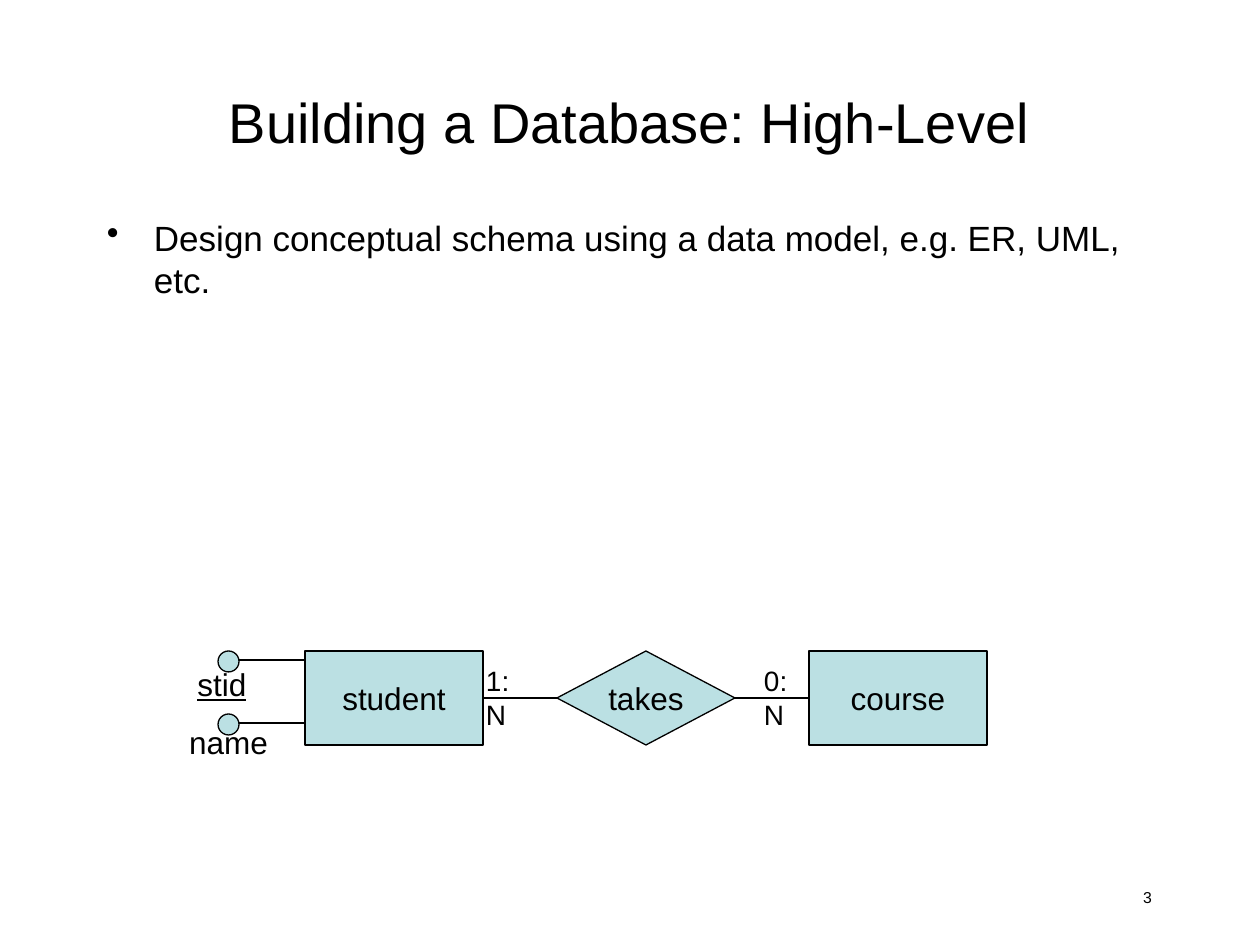
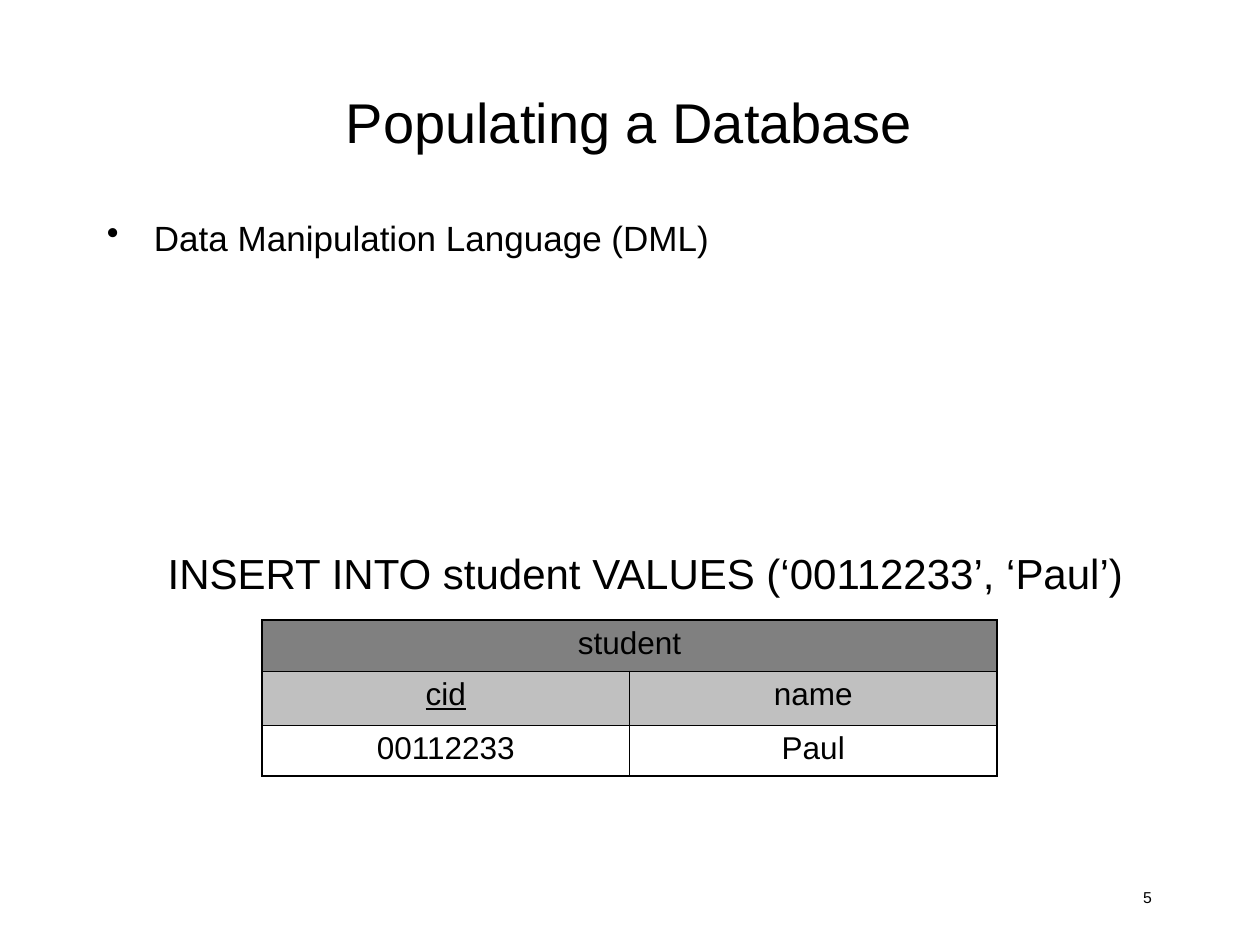
from dataclasses import dataclass

from lxml import etree
from pptx import Presentation, util as u
from pptx.dml.color import RGBColor
from pptx.enum import shapes, text
from pptx.oxml.ns import qn

# ---- Content ----
DESIGN = dict(
    title="Building a Database: High-Level",
    bullet="Design conceptual schema using a data model, e.g. ER, UML, etc.",
    number="3",
)
POPULATE = dict(
    title="Populating a Database",
    bullet="Data Manipulation Language (DML)",
    number="5",
)
CHAIN = [("student", "FLOWCHART_PROCESS"),
         ("takes", "FLOWCHART_DECISION"),
         ("course", "FLOWCHART_PROCESS")]
CARDINALITIES = [("1:N", 473), ("0:N", 751)]  # label, left edge
ATTRIBUTES = [  # name, underlined key, text insets
    ("stid", True, (0, 11, 13, 0)),
    ("name", False, (13, 6, 13, 6)),
]
INSERT = "INSERT INTO student VALUES (‘00112233’, ‘Paul’)"
TABLE_NAME, KEY = "student", "cid"
TABLE_ROWS = [(KEY, "name"), ("00112233", "Paul")]


# ---- Theme and scale ----
@dataclass(frozen=True)
class Theme:
    font: str = "Arial"
    ink: str = "000000"
    node: str = "BBE0E3"
    table_head: str = "808080"
    column_head: str = "C0C0C0"
    title: int = 32
    statement: int = 24
    body: int = 20
    label: int = 18
    cardinality: int = 16
    number: int = 9
    line: float = 0.75
    outer: float = 1.08
    inner: float = 0.45


T = Theme()
INSETS = (13, 6, 13, 6)
LEFT, CENTER, RIGHT = text.PP_ALIGN.LEFT, text.PP_ALIGN.CENTER, text.PP_ALIGN.RIGHT
TOP, MIDDLE = text.MSO_ANCHOR.TOP, text.MSO_ANCHOR.MIDDLE


def px(n):
    return u.Emu(round(n * 914400 / 126))


def rgb(value):
    return RGBColor.from_string(value)


# ---- Text ----
def put_text(tf, words, size=T.label, align=CENTER, anchor=MIDDLE, wrap=True,
             underline=False, bullet=False, insets=INSETS):
    tf.word_wrap = wrap
    tf.vertical_anchor = anchor
    tf.margin_left, tf.margin_top, tf.margin_right, tf.margin_bottom = map(px, insets)
    p = tf.paragraphs[0]
    p.alignment = align
    if bullet:
        pPr = p._p.get_or_add_pPr()
        pPr.set("marL", str(px(47)))
        pPr.set("indent", str(-px(47)))
        etree.SubElement(pPr, qn("a:buChar")).set("char", "•")
    r = p.add_run()
    r.text = words
    r.font.name, r.font.size = T.font, u.Pt(size)
    r.font.color.rgb = rgb(T.ink)
    r.font.underline = underline


def text_box(s, words, box, **fmt):
    sp = s.shapes.add_textbox(*map(px, box))
    put_text(sp.text_frame, words, **fmt)


# ---- Diagram parts ----
def node(s, kind, words, box, **fmt):
    sp = s.shapes.add_shape(shapes.MSO_SHAPE[kind], *map(px, box))
    sp.shadow.inherit = False
    sp.fill.solid()
    sp.fill.fore_color.rgb = rgb(T.node)
    sp.line.color.rgb, sp.line.width = rgb(T.ink), u.Pt(T.line)
    put_text(sp.text_frame, words, wrap=False, **fmt)


def link(s, x1, x2, y):
    cn = s.shapes.add_connector(shapes.MSO_CONNECTOR.STRAIGHT, *map(px, (x1, y, x2, y)))
    cn.line.color.rgb, cn.line.width = rgb(T.ink), u.Pt(T.line)
    etree.SubElement(cn._element.spPr, qn("a:effectLst"))


def er_diagram(s):
    x, y, w, h, step = 305, 651, 178, 94, 252
    for i, (name, kind) in enumerate(CHAIN):
        node(s, kind, name, (x + i * step, y, w, h))
    for i in range(len(CHAIN) - 1):
        link(s, x + i * step + w, x + (i + 1) * step, y + h // 2)

    # Attributes hang to the left of the first entity
    for i, (name, key, insets) in enumerate(ATTRIBUTES):
        top = y + i * 63
        link(s, 231, x, top + 9)
        node(s, "FLOWCHART_CONNECTOR", name, (218, top, 21, 21),
             anchor=TOP, underline=key, insets=insets)

    for label, left in CARDINALITIES:
        text_box(s, label, (left, 658, 68, 46), size=T.cardinality,
                 align=LEFT, anchor=TOP, wrap=False)


# ---- Table ----
def cell_borders(cell, widths):
    tcPr = cell._tc.get_or_add_tcPr()
    for i, (side, width) in enumerate(zip("LRTB", widths)):
        ln = etree.Element(qn("a:ln" + side), w=str(u.Pt(width)))
        fill = etree.SubElement(ln, qn("a:solidFill"))
        etree.SubElement(fill, qn("a:srgbClr")).set("val", T.ink)
        tcPr.insert(i, ln)


def student_table(s):
    heights, col_width, cols = (51, 54, 51), 367.5, 2
    tbl = s.shapes.add_table(len(heights), cols, px(262), px(620),
                             px(cols * col_width), px(sum(heights))).table
    tbl.first_row = tbl.horz_banding = False
    for col in tbl.columns:
        col.width = px(col_width)
    for row, height in zip(tbl.rows, heights):
        row.height = px(height)

    last_row, last_col = len(heights) - 1, cols - 1
    fills = (T.table_head, T.column_head, None)
    tbl.cell(0, 0).merge(tbl.cell(0, last_col))
    for i, fill in enumerate(fills):
        for j in range(cols):
            cell = tbl.cell(i, j)
            if fill:
                cell.fill.solid()
                cell.fill.fore_color.rgb = rgb(fill)
            else:
                cell.fill.background()
            edges = (j == 0, j == last_col or i == 0, i == 0, i == last_row)
            cell_borders(cell, [T.outer if edge else T.inner for edge in edges])
            if cell.is_spanned:
                continue
            words = TABLE_ROWS[i - 1][j] if i else TABLE_NAME
            put_text(cell.text_frame, words, underline=words == KEY)
            cell.vertical_anchor = TOP
            cell.margin_left = cell.margin_right = px(13)
            cell.margin_top = cell.margin_bottom = px(6)


# ---- Slides ----
def base_slide(prs, content):
    s = prs.slides.add_slide(prs.slide_layouts[6])
    text_box(s, content["number"], (903, 882, 262, 42), size=T.number,
             align=RIGHT, anchor=TOP)
    text_box(s, content["title"], (94, 42, 1071, 158), size=T.title)
    text_box(s, content["bullet"], (94, 210, 1071, 651), size=T.body,
             align=LEFT, anchor=TOP, bullet=True)
    return s


def main():
    prs = Presentation()
    prs.slide_width, prs.slide_height = px(1260), px(945)

    er_diagram(base_slide(prs, DESIGN))

    s = base_slide(prs, POPULATE)
    student_table(s)
    text_box(s, INSERT, (126, 536, 1039, 74), size=T.statement, wrap=False)

    prs.save("out.pptx")


if __name__ == "__main__":
    main()
